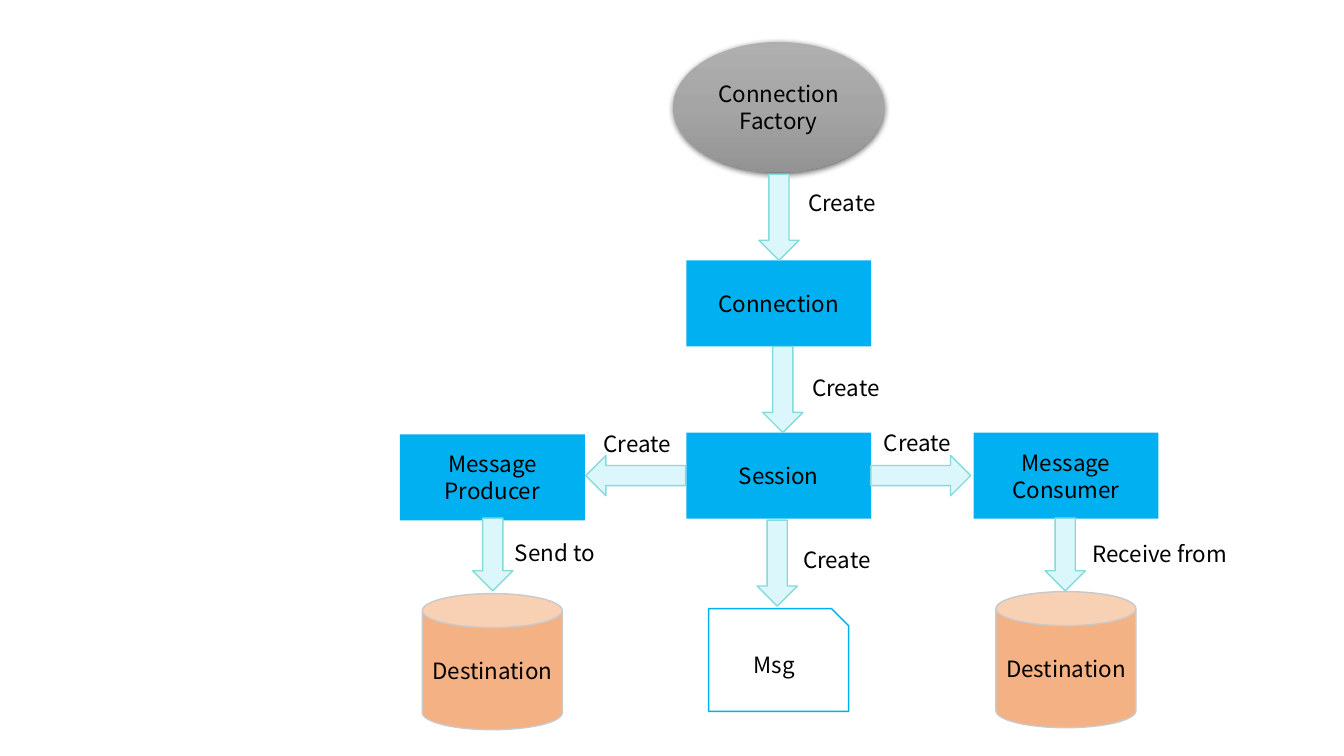
from collections import namedtuple
from copy import deepcopy

from lxml import etree
from pptx import Presentation
from pptx.dml.color import RGBColor
from pptx.enum.shapes import MSO_SHAPE
from pptx.enum.text import MSO_ANCHOR, PP_ALIGN
from pptx.oxml import parse_xml
from pptx.util import Pt

Theme = namedtuple("Theme", "font size leading ink box arrow arrow_line can can_line factory")
THEME = Theme(
    font="Noto Sans CJK SC", size=16, leading=19.3, ink="000000", box="00B0F0",
    arrow="DBF7FB", arrow_line="85DBDB", can="F4B183", can_line="C9C9C9",
    factory=((0, "AFAFAF"), (0.5, "A5A5A5"), (1, "939393")),
)

prs = Presentation()
prs.slide_width, prs.slide_height = Pt(960), Pt(540)
slide = prs.slides.add_slide(prs.slide_layouts[6])


def write(frame, lines, align):
    """Put lines into a text frame, one paragraph each."""
    frame.word_wrap = True
    for i, line in enumerate(lines):
        paragraph = frame.add_paragraph() if i else frame.paragraphs[0]
        paragraph.alignment = align
        paragraph.line_spacing = Pt(THEME.leading)
        run = paragraph.add_run()
        run.text = line
        run.font.name, run.font.size = THEME.font, Pt(THEME.size)
        run.font.color.rgb = RGBColor.from_string(THEME.ink)
        fonts = run.font._element
        latin = fonts.find("{*}latin")
        east_asian = etree.Element(latin.tag.replace("latin", "ea"), typeface=THEME.font)
        latin.addnext(east_asian)


def add_node(kind, center, top, size, fill=None, line=None, lines=()):
    """Add a shape centred on an x position, with optional fill, line and text."""
    width, height = size
    shape = slide.shapes.add_shape(
        kind, Pt(center - width / 2), Pt(top), Pt(width), Pt(height))
    shape.shadow.inherit = False
    if fill:
        shape.fill.solid()
        shape.fill.fore_color.rgb = RGBColor.from_string(fill)
    else:
        shape.fill.background()
    if line:
        shape.line.color.rgb = RGBColor.from_string(line)
        shape.line.width = Pt(1)
    else:
        shape.line.fill.background()
    shape.text_frame.vertical_anchor = MSO_ANCHOR.MIDDLE
    write(shape.text_frame, lines, PP_ALIGN.CENTER)
    return shape


PRODUCER_X, SESSION_X, CONSUMER_X = 351.7, 556.2, 761.4
BOX, CAN = (132, 61.5), (100, 97.2)

# Connection factory: gradient ellipse with a soft shadow
factory = add_node(MSO_SHAPE.OVAL, SESSION_X, 30, (150.5, 93),
                   lines=("Connection", "Factory"))
factory.fill.gradient()
factory.fill.gradient_angle = 270
last_stop = factory.fill.gradient_stops[1]._gs
last_stop.addprevious(deepcopy(last_stop))
for stop, (position, color) in zip(factory.fill.gradient_stops, THEME.factory):
    stop.position = position
    stop.color.rgb = RGBColor.from_string(color)
effects = factory._element.spPr.find("{*}effectLst")
effects.append(parse_xml(
    '<a:outerShdw xmlns:a="http://schemas.openxmlformats.org/drawingml/2006/main"'
    ' blurRad="57150" dist="19050" dir="5400000" algn="ctr" rotWithShape="0">'
    '<a:srgbClr val="000000"><a:alpha val="63000"/></a:srgbClr></a:outerShdw>'))

for center, top, lines in (
    (SESSION_X, 186, ("Connection",)),
    (SESSION_X, 309, ("Session",)),
    (CONSUMER_X, 309, ("Message", "Consumer")),
    (PRODUCER_X, 310.3, ("Message", "Producer")),
):
    add_node(MSO_SHAPE.RECTANGLE, center, top, BOX, THEME.box, lines=lines)

for center, top in ((PRODUCER_X, 424), (CONSUMER_X, 422.6)):
    add_node(MSO_SHAPE.CAN, center, top, CAN, THEME.can, THEME.can_line, ("Destination",))

add_node(MSO_SHAPE.SNIP_1_RECTANGLE, SESSION_X, 434.7, (100, 73.4),
         line=THEME.box, lines=("Msg",))

# Arrows: centre, top, length
for center, top, length in (
    (556.4, 124.5, 61.5), (559.2, 247.5, 61.5), (555.2, 371.5, 61.5),
    (PRODUCER_X + 0.3, 370.1, 52), (CONSUMER_X - 0.5, 370.1, 52),
):
    add_node(MSO_SHAPE.DOWN_ARROW, center, top, (28.8, length),
             THEME.arrow, THEME.arrow_line)
for center, rotation in ((657.7, 0), (454, 180)):
    arrow = add_node(MSO_SHAPE.RIGHT_ARROW, center, 325.3, (71.3, 28.8),
                     THEME.arrow, THEME.arrow_line)
    arrow.rotation = rotation

# Arrow labels: left, top, width, text
for left, top, width, text in (
    (570.2, 131.8, 73.4, "Create"),
    (573.1, 263.5, 73.4, "Create"),
    (424.1, 303.8, 73.4, "Create"),
    (624.2, 303.1, 73.4, "Create"),
    (566.6, 386.6, 73.4, "Create"),
    (360.7, 381.6, 99.4, "Send to"),
    (773.3, 382.3, 126, "Receive from"),
):
    label = slide.shapes.add_textbox(Pt(left), Pt(top), Pt(width), Pt(26.6))
    write(label.text_frame, (text,), PP_ALIGN.LEFT)

prs.save("out.pptx")
